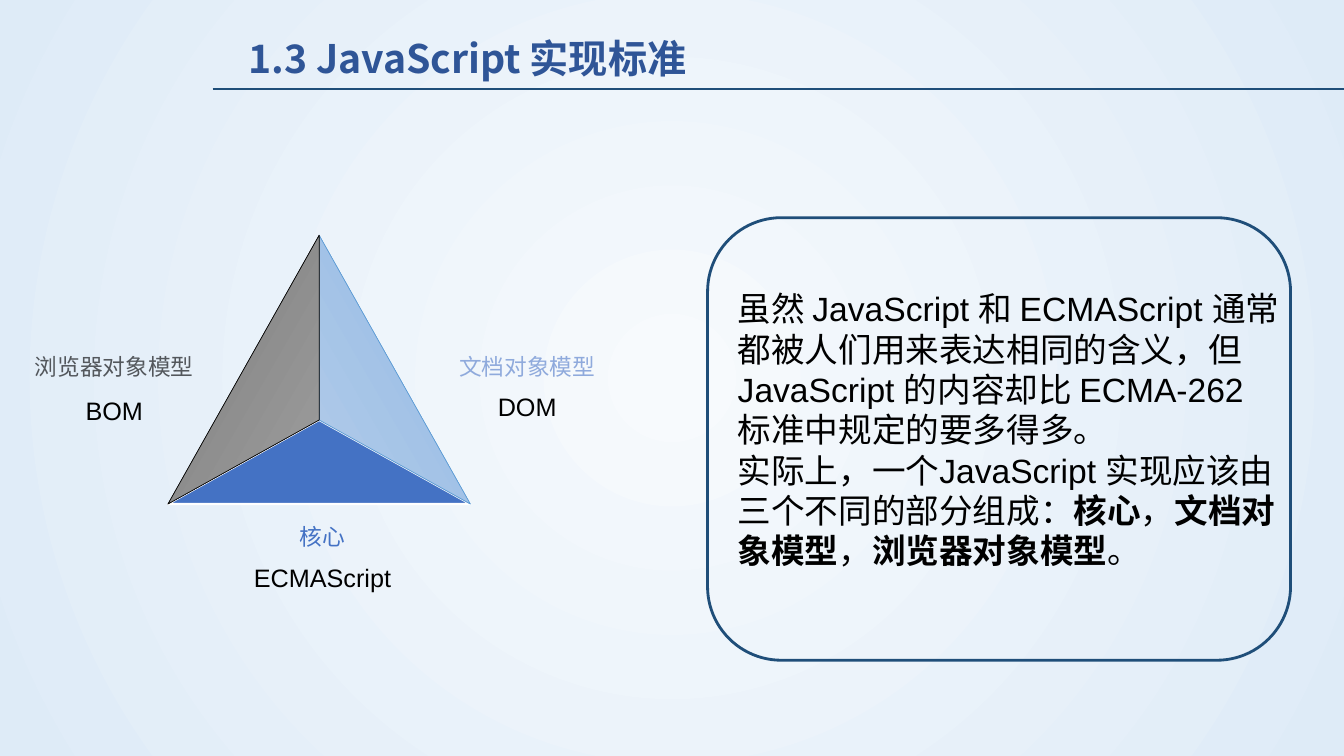
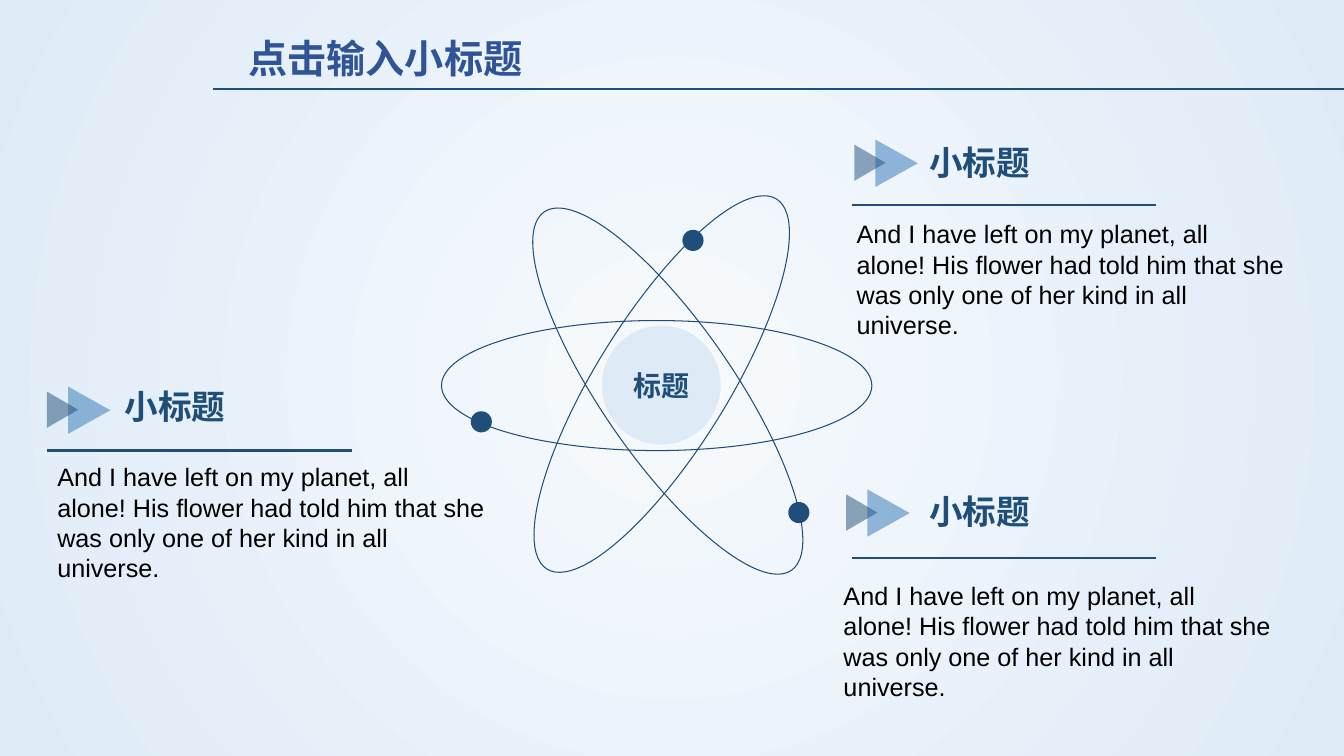
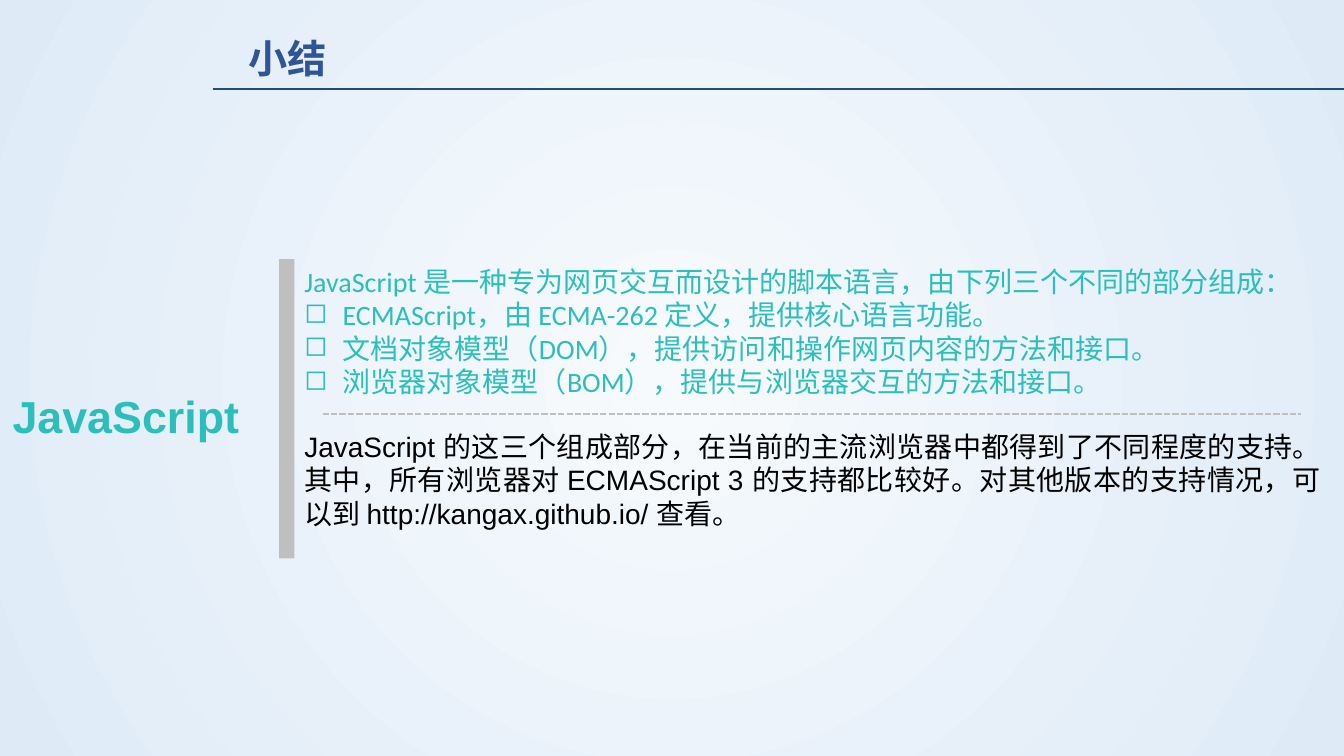
from dataclasses import dataclass
from typing import NamedTuple

from lxml.etree import SubElement
from pptx import Presentation
from pptx.dml.color import RGBColor
from pptx.enum.dml import MSO_LINE
from pptx.enum.shapes import MSO_CONNECTOR, MSO_SHAPE
from pptx.enum.text import MSO_ANCHOR as Anchor, PP_ALIGN as Align
from pptx.oxml.ns import qn
from pptx.util import Emu, Inches, Pt

# Grid of 80 columns by 45 rows with square cells
COLUMNS, ROWS = 80, 45
CELL = Inches(1) // 6
INDENT = 2.28

NAVY, BLUE, MID_BLUE = "1F4E79", "4472C4", "2E75B6"
PALE_BLUE, GREY, TEAL = "DEEBF7", "BFBFBF", "2CBEBB"
BLACK, WHITE = "000000", "FFFFFF"
CJK_FONT = "Noto Sans CJK SC"
NBSP = chr(160)


class Spot(NamedTuple):
    col: float
    row: float


class Box(NamedTuple):
    col: float
    row: float
    cols: float
    rows: float


@dataclass(frozen=True)
class Style:
    size: float
    color: str = BLACK
    font: str = "Arial"
    bold: bool = False


@dataclass(frozen=True)
class Part:
    """One third of the triangle, with its caption and its short name."""
    caption: str
    term: str
    color: str
    center: float
    caption_row: float
    term_row: float
    corners: tuple[Spot, ...]
    fills: tuple[str, ...]
    edge: str
    edge_width: float
    angle: float = 0


@dataclass(frozen=True)
class Orbit:
    box: Box
    turn: float


@dataclass(frozen=True)
class Note:
    arrow: Spot
    heading: Spot
    rule: Spot
    body: Spot


TITLE = Style(28, "2F5597", CJK_FONT, True)
HEADING = Style(24, NAVY, CJK_FONT, True)
CORE_LABEL = Style(20, NAVY, CJK_FONT, True)
TERM = Style(18)


def grid(cells: float) -> Emu:
    return Emu(round(cells * CELL))


def color(value: str) -> RGBColor:
    return RGBColor.from_string(value)


def centered(center: Spot, cols: float, rows: float) -> Box:
    return Box(center.col - cols / 2, center.row - rows / 2, cols, rows)


# Drawing helpers
def paint(shape, fills: tuple[str, ...] = (), edge: str = "", width: float = 0, angle: float = 0) -> None:
    """Fill with nothing, one colour or a gradient of two; outline if an edge is given."""
    shape.shadow.inherit = False
    if not fills:
        shape.fill.background()
    elif len(fills) == 1:
        shape.fill.solid()
        shape.fill.fore_color.rgb = color(fills[0])
    else:
        shape.fill.gradient()
        shape.fill.gradient_angle = angle
        for stop, value in zip(shape.fill.gradient_stops, fills):
            stop.color.rgb = color(value)
    if edge:
        shape.line.color.rgb = color(edge)
        shape.line.width = Pt(width)
    else:
        shape.line.fill.background()


def add_shape(slide, kind, box: Box, fill: str = "", edge: str = "", width: float = 0, turn: float = 0):
    shape = slide.shapes.add_shape(kind, *map(grid, box))
    shape.rotation = turn
    paint(shape, (fill,) if fill else (), edge, width)
    return shape


def add_rule(slide, start: Spot, cols: float, value: str, width: float, dash=None) -> None:
    rule = slide.shapes.add_connector(
        MSO_CONNECTOR.STRAIGHT, grid(start.col), grid(start.row),
        grid(start.col + cols), grid(start.row))
    rule.line.color.rgb = color(value)
    rule.line.width = Pt(width)
    if dash:
        rule.line.dash_style = dash
    SubElement(rule._element.spPr, qn("a:effectLst"))


def write(frame, lines: list[str], style: Style, align=Align.LEFT, anchor=Anchor.TOP,
          bullets_from: int | None = None) -> None:
    """Write one paragraph a line; text between ** marks is bold."""
    frame.word_wrap = True
    frame.vertical_anchor = anchor
    for index, line in enumerate(lines):
        paragraph = frame.paragraphs[0] if index == 0 else frame.add_paragraph()
        paragraph.alignment = align
        for position, piece in enumerate(line.split("**")):
            run = paragraph.add_run()
            run.text = piece
            if position % 2:
                run.font.bold = True
        properties = paragraph._p.get_or_add_pPr()
        if bullets_from is not None and index >= bullets_from:
            properties.set("marL", str(grid(INDENT)))
            properties.set("indent", str(-grid(INDENT)))
            SubElement(properties, qn("a:buChar"), char="◻")
        font = paragraph.font
        font.size, font.name, font.bold = Pt(style.size), style.font, style.bold
        font.color.rgb = color(style.color)
        SubElement(properties.find(qn("a:defRPr")), qn("a:ea"), typeface=CJK_FONT)


def add_text(slide, box: Box, lines: list[str], style: Style, **layout):
    frame = slide.shapes.add_textbox(*map(grid, box)).text_frame
    write(frame, lines, style, **layout)
    return frame


# Shared background and title band
def set_background(master) -> None:
    fill = master.background.fill
    fill.gradient()
    for stop, value in zip(fill.gradient_stops, ("F7FAFD", PALE_BLUE)):
        stop.color.rgb = color(value)
    linear = master.element.find(".//" + qn("p:bgPr")).find(".//" + qn("a:lin"))
    gradient = linear.getparent()
    gradient.remove(linear)
    circle = SubElement(gradient, qn("a:path"), path="circle")
    SubElement(circle, qn("a:fillToRect"), {side: "50000" for side in "ltrb"})


def add_slide(deck, title: str):
    slide = deck.slides.add_slide(deck.slide_layouts[6])
    add_rule(slide, Spot(12.66, 5.28), COLUMNS - 12.66, NAVY, 1.25)
    add_text(slide, Box(14.2, 1.74, 63, 3.4), [title], TITLE)
    return slide


# Slide 1: the three parts of an implementation
PARTS = [
    Part("核心", "ECMAScript", BLUE, 19.2, 31.92, 34.38,
         (Spot(19.02, 25.14), Spot(28.08, 30.36), Spot(10.02, 30.42)),
         (BLUE,), WHITE, 1.5),
    Part("文档对象模型", "DOM", "8FAADC", 31.38, 21.84, 24.18,
         (Spot(19.38, 24.6), Spot(19.38, 14.16), Spot(28.44, 29.76)),
         ("B1CBE9", "93B9E4"), "5B9BD5", 0.5, 30),
    Part("浏览器对象模型", "BOM", "53575C", 6.8, 21.84, 24.42,
         (Spot(18.72, 24.54), Spot(9.66, 29.76), Spot(18.66, 14.1)),
         ("9D9D9D", "7C7C7C"), BLACK, 0.5, 150),
]


def add_part(slide, part: Part) -> None:
    outline = slide.shapes.build_freeform(*part.corners[0], scale=CELL)
    outline.add_line_segments(part.corners[1:], close=True)
    paint(outline.convert_to_shape(), part.fills, part.edge, part.edge_width, part.angle)
    for words, row, style in (
        (part.caption, part.caption_row, Style(16.2, part.color)),
        (part.term, part.term_row, TERM),
    ):
        add_text(slide, centered(Spot(part.center, row), 12, 2.4), [words], style,
                 align=Align.CENTER, anchor=Anchor.MIDDLE)


def build_standard(deck) -> None:
    slide = add_slide(deck, "1.3 JavaScript 实现标准")
    add_shape(slide, MSO_SHAPE.ROUNDED_RECTANGLE, Box(42.12, 12.96, 34.7, 26.34), edge=NAVY, width=2)
    add_text(slide, Box(43.32, 16.86, 33.54, 20), [
        "虽然 JavaScript 和 ECMAScript 通常都被人们用来表达相同的含义，但JavaScript 的内容却比 ECMA-262 标准中规定的要多得多。",
        "实际上，一个JavaScript 实现应该由三个不同的部分组成：**核心**，**文档对象模型**，**浏览器对象模型**。",
    ], Style(24))
    for part in PARTS:
        add_part(slide, part)


# Slide 2: an atom with three notes
ORBITS = [
    Orbit(Box(35.46, 9.9, 7.86, 25.92), 31.8),
    Orbit(Box(35.82, 10.32, 7.86, 25.92), 325.4),
    Orbit(Box(35.22, 10.14, 7.74, 25.62), 270),
]
ELECTRONS = [Spot(41.25, 14.31), Spot(47.55, 30.51), Spot(28.65, 25.11)]
NOTES = [
    Note(Spot(51.96, 8.46), Spot(54.72, 8.16), Spot(50.7, 12.18), Spot(50.4, 12.72)),
    Note(Spot(3.9, 23.16), Spot(6.84, 22.68), Spot(2.82, 26.82), Spot(2.82, 27.18)),
    Note(Spot(51.48, 29.28), Spot(54.72, 28.92), Spot(50.7, 33.24), Spot(49.62, 34.26)),
]
NOTE_TEXT = (f"And I have left on my planet, all alone!{NBSP}His flower had told him "
             "that she was only one of her kind in all universe.")


def add_note(slide, note: Note) -> None:
    col, row = note.arrow
    for box, fill in (
        (Box(col, row, 2.82, 2.52), MID_BLUE),
        (Box(col - 1.26, row + 0.3, 2.16, 1.86), NAVY),
    ):
        arrow = add_shape(slide, MSO_SHAPE.ISOSCELES_TRIANGLE, box, fill, turn=90)
        SubElement(arrow._element.spPr.find(".//" + qn("a:srgbClr")), qn("a:alpha"), val="50000")
    add_text(slide, Box(*note.heading, 14.16, 3), ["小标题"], HEADING)
    add_rule(slide, note.rule, 18.12, NAVY, 1.5)
    add_text(slide, Box(*note.body, 27.36, 6.06), [NOTE_TEXT], Style(18))


def build_atom(deck) -> None:
    slide = add_slide(deck, "点击输入小标题")
    for orbit in ORBITS:
        add_shape(slide, MSO_SHAPE.OVAL, orbit.box, edge=NAVY, width=0.75, turn=orbit.turn)
    for electron in ELECTRONS:
        add_shape(slide, MSO_SHAPE.OVAL, centered(electron, 1.26, 1.26), NAVY)
    nucleus = add_shape(slide, MSO_SHAPE.OVAL, Box(35.82, 19.38, 7.08, 7.08), PALE_BLUE)
    write(nucleus.text_frame, ["标题"], CORE_LABEL, Align.CENTER, Anchor.MIDDLE)
    for note in NOTES:
        add_note(slide, note)


# Slide 3: summary
def build_summary(deck) -> None:
    slide = add_slide(deck, "小结")
    add_text(slide, Box(17.52, 15.42, 61.68, 8.64), [
        "JavaScript 是一种专为网页交互而设计的脚本语言，由下列三个不同的部分组成：",
        "ECMAScript，由 ECMA-262 定义，提供核心语言功能。",
        "文档对象模型（DOM），提供访问和操作网页内容的方法和接口。",
        "浏览器对象模型（BOM），提供与浏览器交互的方法和接口。",
    ], Style(20, TEAL, "Calibri"), bullets_from=1)
    add_shape(slide, MSO_SHAPE.RECTANGLE, Box(16.62, 15.42, 0.9, 17.82), GREY)
    add_text(slide, Box(17.52, 25.26, 61.68, 7.26), [
        "JavaScript 的这三个组成部分，在当前的主流浏览器中都得到了不同程度的支持。其中，所有浏览器对 ECMAScript 3 的支持都比较好。"
        "对其他版本的支持情况，可以到 http://kangax.github.io/ 查看。",
    ], Style(20), align=Align.JUSTIFY)
    add_rule(slide, Spot(19.2, 24.66), 58.26, GREY, 1.5, MSO_LINE.SQUARE_DOT)
    topic = add_text(slide, Box(0, 19.8, 15, 9.9), ["JavaScript"], Style(32, TEAL, bold=True),
                     align=Align.CENTER, anchor=Anchor.MIDDLE)
    topic.margin_left = topic.margin_right = topic.margin_top = topic.margin_bottom = 0


def main() -> None:
    deck = Presentation()
    deck.slide_width, deck.slide_height = grid(COLUMNS), grid(ROWS)
    set_background(deck.slide_master)
    build_standard(deck)
    build_atom(deck)
    build_summary(deck)
    deck.save("out.pptx")


if __name__ == "__main__":
    main()
